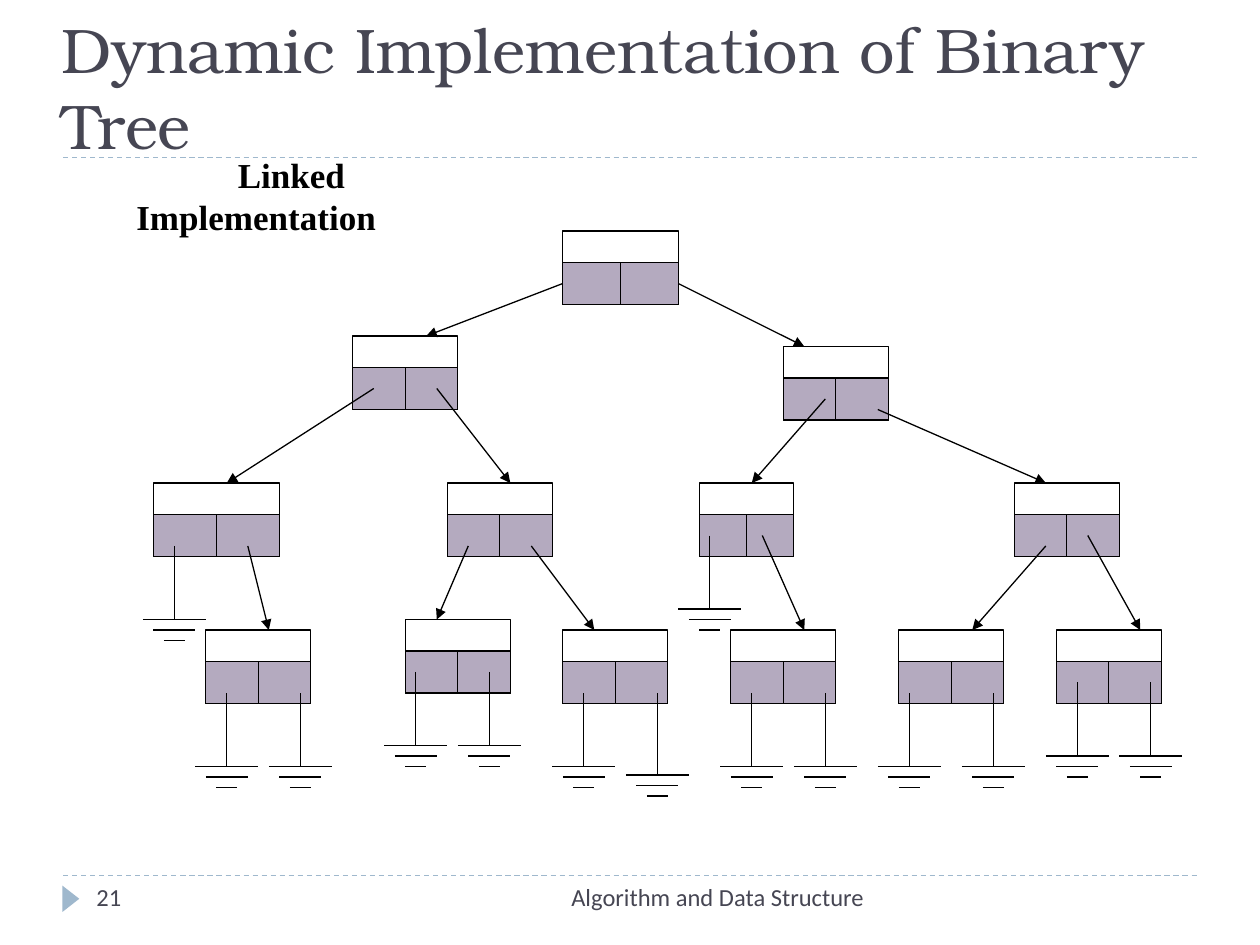
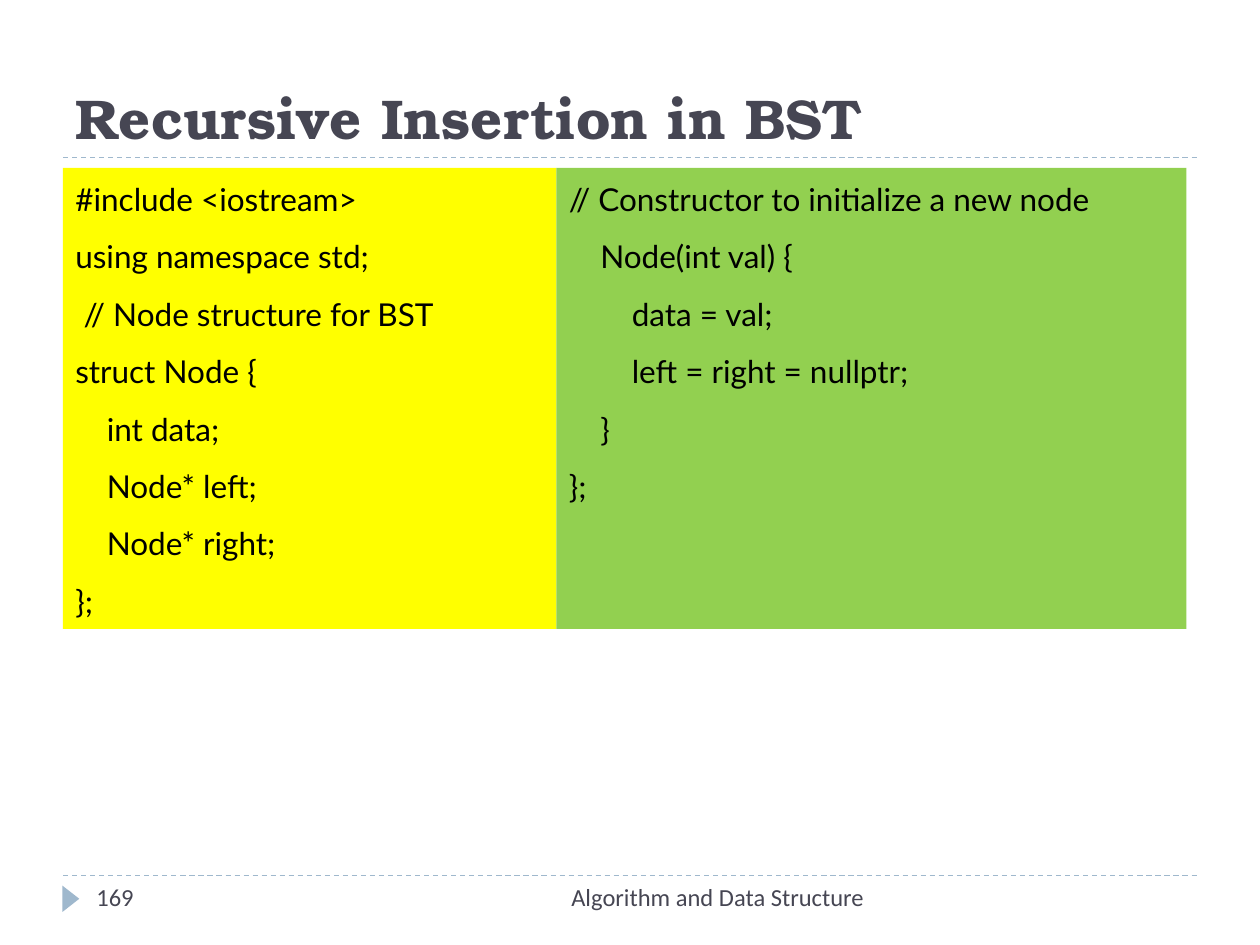
from lxml.etree import SubElement
from pptx import Presentation
from pptx.dml.color import RGBColor
from pptx.enum.dml import MSO_LINE
from pptx.enum.shapes import MSO_CONNECTOR, MSO_SHAPE
from pptx.enum.text import MSO_ANCHOR, MSO_AUTO_SIZE, PP_ALIGN
from pptx.oxml.ns import qn
from pptx.util import Emu, Pt

SCALE = 7620
COLORS = {
    "ink": "464653",
    "rule": "9FB8CD",
    "black": "000000",
    "white": "FFFFFF",
    "link": "6B5680",
    "yellow": "FFFF00",
    "green": "92D050",
}
HEAD, LINK = 30, 40

ROOT = (536, 220, 110)
NODES = [
    (336, 320, 100), (746, 330, 100),
    (146, 460, 120), (426, 460, 100), (666, 460, 90), (966, 460, 100),
    (196, 600, 100), (386, 590, 100), (536, 600, 100),
    (696, 600, 100), (856, 600, 100), (1006, 600, 100),
]
ARROWS = [
    (356, 370, 216, 460), (416, 370, 486, 460),
    (786, 380, 716, 460), (836, 390, 996, 460),
    (236, 520, 256, 600), (446, 520, 416, 590), (506, 520, 566, 600),
    (726, 510, 766, 600), (996, 520, 926, 600), (1036, 510, 1086, 600),
]
NULLS = [
    (166, 520, 70), (676, 510, 70), (216, 660, 70), (286, 660, 70),
    (396, 640, 70), (466, 640, 70), (556, 660, 70), (626, 660, 78),
    (716, 660, 70), (786, 660, 70), (866, 660, 70), (946, 660, 70),
    (1026, 650, 70), (1096, 650, 70),
]
STRUCT = [
    (0, "#include <iostream>"),
    (0, "using namespace std;"),
    (8, "// Node structure for BST"),
    (0, "struct Node {"),
    (30, "int data;"),
    (30, "Node* left;"),
    (30, "Node* right;"),
    (0, "};"),
]
BUILD = [
    (0, "// Constructor to initialize a new node"),
    (30, "Node(int val) {"),
    (60, "data = val;"),
    (60, "left = right = nullptr;"),
    (30, "}"),
    (0, "};"),
]


def px(count):
    return Emu(count * SCALE)


def color(name):
    return RGBColor.from_string(COLORS[name])


def style(para, face, size, tone, bold=False):
    font = para.font
    font.name, font.size, font.bold = face, Pt(size), bold
    font.color.rgb = color(tone)


def add_line(slide, x1, y1, x2, y2, tone="black", dash=None, arrow=False):
    line = slide.shapes.add_connector(
        MSO_CONNECTOR.STRAIGHT, px(x1), px(y1), px(x2), px(y2))
    line.line.color.rgb = color(tone)
    line.line.width = Pt(0.75)
    if dash:
        line.line.dash_style = dash
    props = line._element.spPr
    if arrow:
        SubElement(props.find(qn("a:ln")), qn("a:tailEnd"), type="triangle")
    SubElement(props, qn("a:effectLst"))
    return line


def add_box(slide, x, y, wide, high, fill, edge=None, kind=MSO_SHAPE.RECTANGLE):
    box = slide.shapes.add_shape(kind, px(x), px(y), px(wide), px(high))
    box.shadow.inherit = False
    box.fill.solid()
    box.fill.fore_color.rgb = color(fill)
    if edge:
        box.line.color.rgb = color(edge)
        box.line.width = Pt(0.75)
    else:
        box.line.fill.background()
    return box


def add_text(slide, x, y, wide, high, text, align=PP_ALIGN.LEFT):
    box = slide.shapes.add_textbox(px(x), px(y), px(wide), px(high))
    box.text_frame.word_wrap = True
    para = box.text_frame.paragraphs[0]
    para.text = text
    para.alignment = align
    return box.text_frame, para


def add_node(slide, x, y, wide):
    add_box(slide, x, y, wide, HEAD + LINK, "white", "black")
    half = wide // 2
    cells = []
    for left in (x, x + half):
        cell = add_box(slide, left, y + HEAD, half, LINK, "link", "black")
        tint = cell._element.spPr.find(qn("a:solidFill"))[0]
        SubElement(tint, qn("a:alpha"), val="50000")
        cells.append(cell)
    return cells


def add_null(slide, x, y, stem):
    base = y + stem
    add_line(slide, x, y, x, base)
    for step, half in enumerate((30, 20, 10)):
        level = base + 10 * step
        add_line(slide, x - half, level, x + half, level)


def add_code(slide, x, wide, fill, lines):
    frame = add_box(slide, x, 160, wide, 439, fill).text_frame
    frame.word_wrap = True
    frame.vertical_anchor = MSO_ANCHOR.TOP
    for row, (indent, text) in enumerate(lines):
        para = frame.add_paragraph() if row else frame.paragraphs[0]
        para.text = text
        para.alignment = PP_ALIGN.LEFT
        para.line_spacing = 1.15
        para.space_after = Pt(8)
        para._p.get_or_add_pPr().set("marL", str(px(indent)))
        style(para, "Lato", 18, "black")


def add_slide(deck, title, number, place, size, bold=False, inset=12):
    slide = deck.slides.add_slide(deck.slide_layouts[5])
    for y in (834, 150):
        add_line(slide, 60, y, 1140, y, "rule", MSO_LINE.DASH)
    mark = add_box(slide, 55, 848, 25, 16, "rule",
                   kind=MSO_SHAPE.ISOSCELES_TRIANGLE)
    mark.rotation = 90

    head = slide.shapes.title
    head.left, head.top, head.width, head.height = map(px, place)
    frame = head.text_frame
    frame.text = title
    frame.word_wrap = True
    frame.auto_size = MSO_AUTO_SIZE.NONE
    frame.vertical_anchor = MSO_ANCHOR.BOTTOM
    frame.margin_left = px(inset)
    para = frame.paragraphs[0]
    para.alignment = PP_ALIGN.LEFT
    style(para, "TeX Gyre Bonum", size, "ink", bold)

    for x, wide, text, align in (
            (380, 460, "Algorithm and Data Structure ", PP_ALIGN.RIGHT),
            (80, 260, number, PP_ALIGN.LEFT)):
        para = add_text(slide, x, 834, wide, 48, text, align)[1]
        style(para, "Calibri", 14, "ink")
    return slide


def add_label(slide):
    frame, para = add_text(slide, 30, 160, 428, 52,
                           "Linked Implementation", PP_ALIGN.CENTER)
    frame.vertical_anchor = MSO_ANCHOR.MIDDLE
    frame.margin_left = frame.margin_right = px(20)
    para._p.get_or_add_pPr().set("indent", str(px(67)))
    style(para, "Times New Roman", 20, "black", True)


def draw_tree(slide):
    left, right = add_node(slide, *ROOT)
    for node in NODES:
        add_node(slide, *node)
    add_line(slide, 536, 270, 406, 320, arrow=True).begin_connect(left, 1)
    add_line(slide, 646, 270, 766, 330, arrow=True).begin_connect(right, 3)
    for ends in ARROWS:
        add_line(slide, *ends, arrow=True)
    for null in NULLS:
        add_null(slide, *null)


def main():
    deck = Presentation()
    deck.slide_width, deck.slide_height = px(1200), px(900)

    tree = add_slide(deck, "Dynamic Implementation of Binary Tree", "21",
                     (50, 20, 1140, 140), 36, inset=9)
    add_label(tree)
    draw_tree(tree)

    code = add_slide(deck, "Recursive Insertion in BST", "169",
                     (60, 20, 1080, 130), 32, bold=True)
    add_code(code, 60, 470, "yellow", STRUCT)
    add_code(code, 530, 600, "green", BUILD)

    deck.save("out.pptx")


if __name__ == "__main__":
    main()
